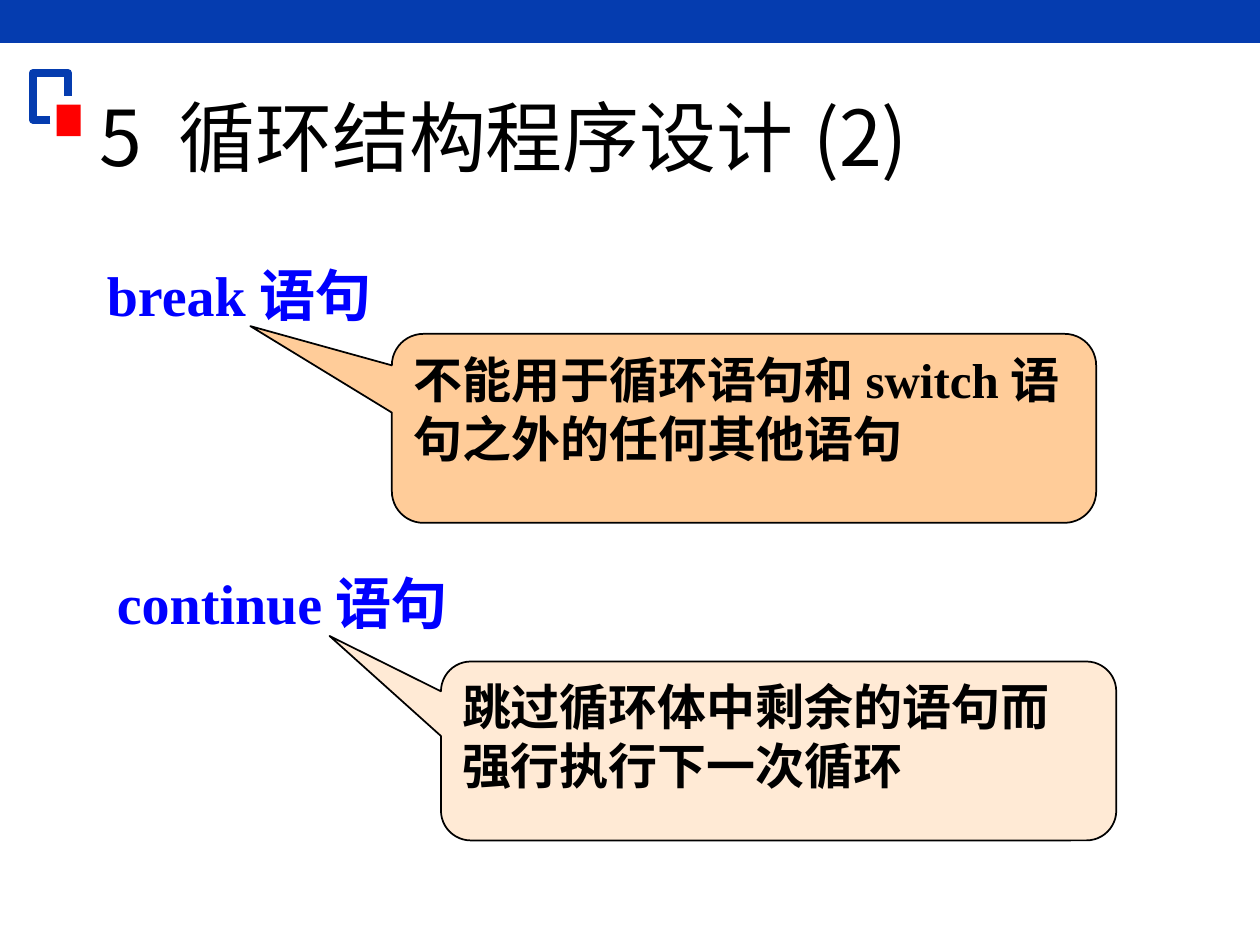
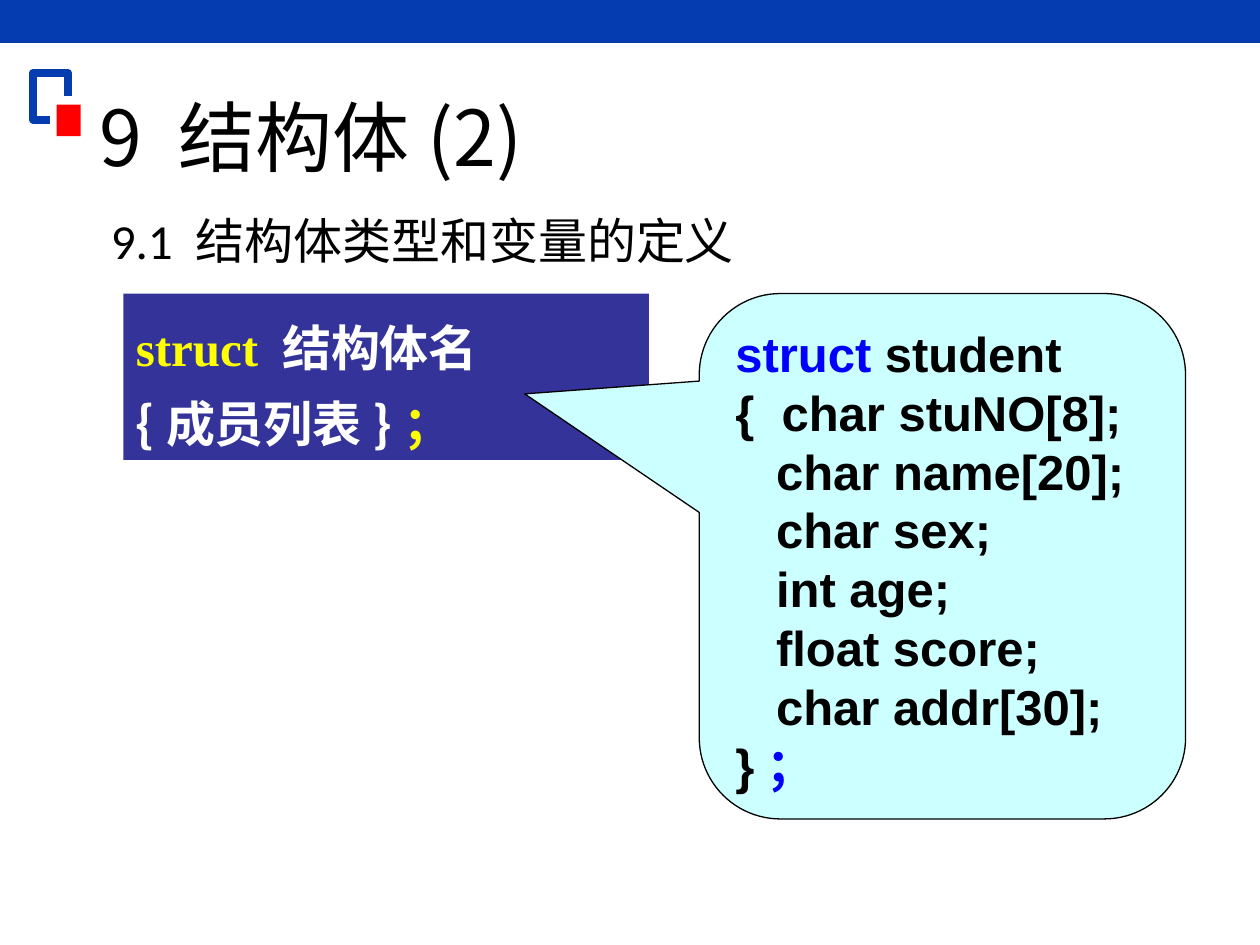
from pptx import Presentation
from pptx import util as u
from pptx.dml.color import RGBColor
from pptx.enum import shapes as s, text as t
from pptx.oxml import ns, xmlchemy as x

HUES = {
    "band": "053CAF", "mark": "FF0000", "ink": "000000", "key": "0000FF",
    "note": "FFCC99", "pale": "FFEAD5", "aqua": "CCFFFF",
    "navy": "333399", "gold": "FFFF00", "white": "FFFFFF",
}
CJK, SERIF, SANS, BODY = "Noto Sans CJK SC", "Times New Roman", "Arial", "Calibri"
KIND = s.MSO_SHAPE


def hue(name):
    return RGBColor.from_string(HUES[name])


def box_of(*nums):
    return [u.Inches(n) for n in nums]


def add_run(para, words, size, face, ink, bold=True):
    run = para.add_run()
    run.text = words
    font = run.font
    font.size, font.bold, font.name = u.Pt(size), bold, face
    font.color.rgb = hue(ink)
    east = x.OxmlElement("a:ea")
    east.set("typeface", CJK)
    run.font._element.find(ns.qn("a:latin")).addnext(east)


def fill_text(frame, lines, size, bold=True, lead=None):
    """Write lines, each a list of (words, face, ink) runs."""
    frame.word_wrap = True
    for i, line in enumerate(lines):
        para = frame.add_paragraph() if i else frame.paragraphs[0]
        para.alignment = t.PP_ALIGN.LEFT
        para.space_before = u.Pt(0)
        if lead:
            para.line_spacing = lead
        for words, face, ink in line:
            add_run(para, words, size, face, ink, bold)


def add_block(slide, kind, box, fill, edge=0):
    block = slide.shapes.add_shape(kind, *box_of(*box))
    block.shadow.inherit = False
    block.fill.solid()
    block.fill.fore_color.rgb = hue(fill)
    if edge:
        block.line.color.rgb = hue("ink")
        block.line.width = u.Pt(edge)
    else:
        block.line.fill.background()
    block.text_frame.vertical_anchor = t.MSO_ANCHOR.TOP
    return block


def add_callout(slide, box, tip, fill, lines, edge=1):
    """Place a rounded callout whose tip is a share of its size from its centre."""
    call = add_block(slide, KIND.ROUNDED_RECTANGULAR_CALLOUT, box, fill, edge)
    for i, value in enumerate((*tip, 0.167)):
        call.adjustments[i] = value
    fill_text(call.text_frame, lines, 28)


def add_label(slide, box, words):
    label = slide.shapes.add_textbox(*box_of(*box))
    fill_text(label.text_frame, [[(words, SERIF, "key")]], 32)
    label.text_frame.auto_size = t.MSO_AUTO_SIZE.SHAPE_TO_FIT_TEXT


def add_decor(slide, master):
    """Draw the band and corner mark, then move them to the master."""
    band = add_block(slide, KIND.RECTANGLE, (0, 0, 10, 0.34), "band")
    pen = slide.shapes.build_freeform(*box_of(0.4, 0.95), scale=1.0)
    turns = (0.26, 0.95), (0.26, 0.58), (0.54, 0.58), (0.54, 0.76)
    pen.add_line_segments([box_of(*turn) for turn in turns], close=False)
    hook = pen.convert_to_shape()
    hook.shadow.inherit = False
    hook.fill.background()
    hook.line.color.rgb = hue("band")
    hook.line.width = u.Pt(4.5)
    mark = add_block(slide, KIND.RECTANGLE, (0.45, 0.83, 0.19, 0.25), "mark")
    for i, part in enumerate((band, hook, mark)):
        part.element.xpath(".//p:cNvPr")[0].set("id", str(101 + i))
        master.shapes.element.insert(2 + i, part.element)


def fill_holder(holder, box, line, size, anchor):
    holder.left, holder.top, holder.width, holder.height = box_of(*box)
    frame = holder.text_frame
    frame.auto_size = t.MSO_AUTO_SIZE.NONE
    frame.vertical_anchor = anchor
    fill_text(frame, [line], size, False, 0.9)


def add_slide(deck, layout, title):
    slide = deck.slides.add_slide(deck.slide_layouts[layout])
    fill_holder(slide.shapes.title, (0.69, 0.4, 8.62, 1.45),
                [(title, CJK, "ink")], 44, t.MSO_ANCHOR.MIDDLE)
    return slide


def add_topic(slide, words):
    body = slide.placeholders[1]
    props = body.text_frame.paragraphs[0]._p.get_or_add_pPr()
    props.set("marL", str(u.Inches(0.25)))
    props.set("indent", str(-u.Inches(0.25)))
    props.append(x.OxmlElement("a:buNone"))
    fill_holder(body, (0.78, 1.67, 8.62, 4.76),
                [(words, BODY, "ink")], 28, t.MSO_ANCHOR.TOP)


def add_syntax(slide, box):
    block = add_block(slide, KIND.RECTANGLE, box, "navy")
    fill_text(block.text_frame, [
        [("struct ", SERIF, "gold"), ("结构体名", CJK, "white")],
        [("{成员列表}", CJK, "white"), ("；", CJK, "gold")],
    ], 28, lead=1.3)
    block.text_frame.auto_size = t.MSO_AUTO_SIZE.SHAPE_TO_FIT_TEXT


def add_sample(slide, box):
    fields = ("{  char stuNO[8];", "   char name[20];", "   char sex;",
              "   int age;", "   float score;", "   char addr[30];")
    lines = [[("struct ", SANS, "key"), ("student", SANS, "ink")]]
    lines += [[(field, SANS, "ink")] for field in fields]
    lines.append([("}", SANS, "ink"), ("；", SANS, "key")])
    add_callout(slide, box, (-0.859, -0.309), "aqua", lines, 0.75)


def build_loops(deck):
    slide = add_slide(deck, 5, "5 循环结构程序设计(2)")
    add_label(slide, (0.75, 2.02, 3.94, 0.63), "break语句")
    add_label(slide, (0.83, 4.46, 3.94, 0.63), "continue语句")
    add_callout(slide, (3.11, 2.65, 5.59, 1.5), (-0.701, -0.541), "note",
                [[("不能用于循环语句和switch语句之外的任何其他语句", SERIF, "ink")]])
    add_callout(slide, (3.5, 5.25, 5.36, 1.42), (-0.665, -0.643), "pale",
                [[("跳过循环体中剩余的语句而强行执行下一次循环", SERIF, "ink")]])
    return slide


def build_struct(deck):
    slide = add_slide(deck, 1, "9 结构体(2)")
    add_topic(slide, "9.1 结构体类型和变量的定义")
    add_syntax(slide, (0.98, 2.33, 4.17, 1.32))
    add_sample(slide, (5.55, 2.33, 3.86, 4.17))


def main():
    deck = Presentation()
    deck.slide_width, deck.slide_height = box_of(10, 7.5)
    first = build_loops(deck)
    add_decor(first, deck.slide_master)
    build_struct(deck)
    deck.save("out.pptx")


if __name__ == "__main__":
    main()
